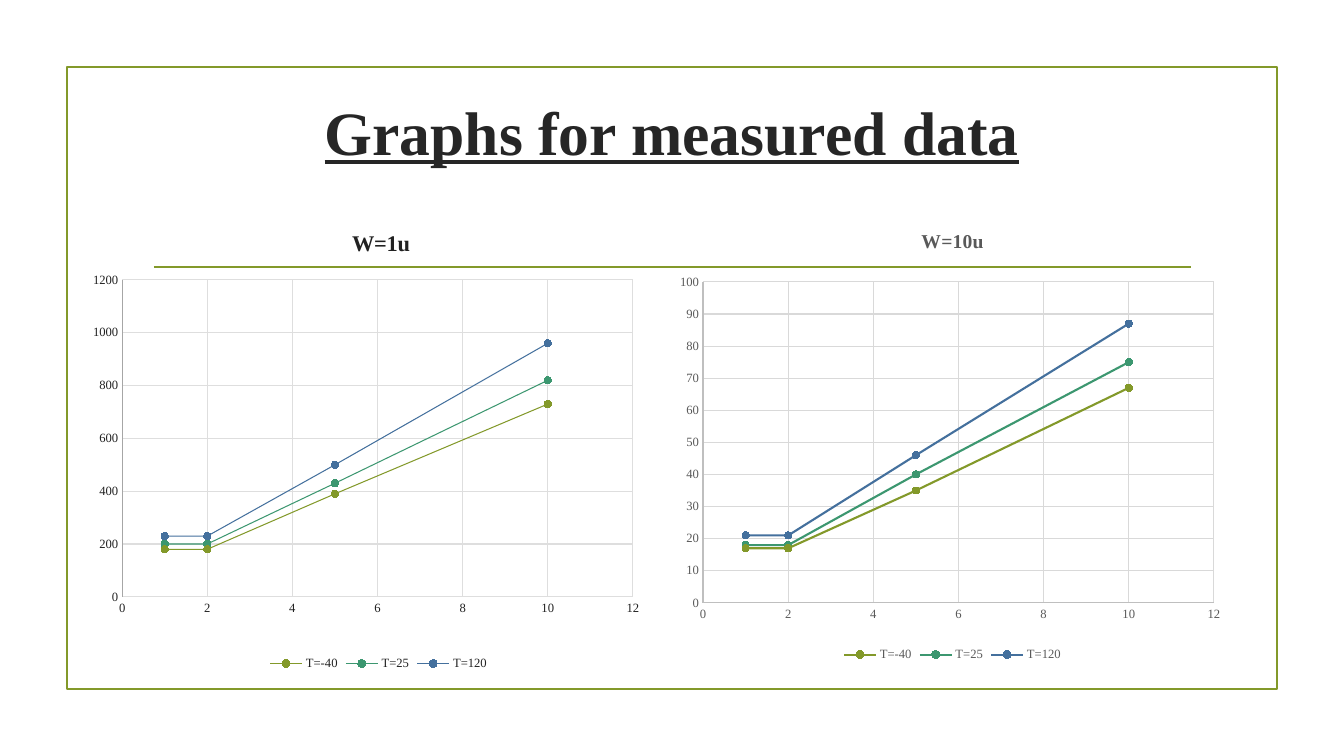
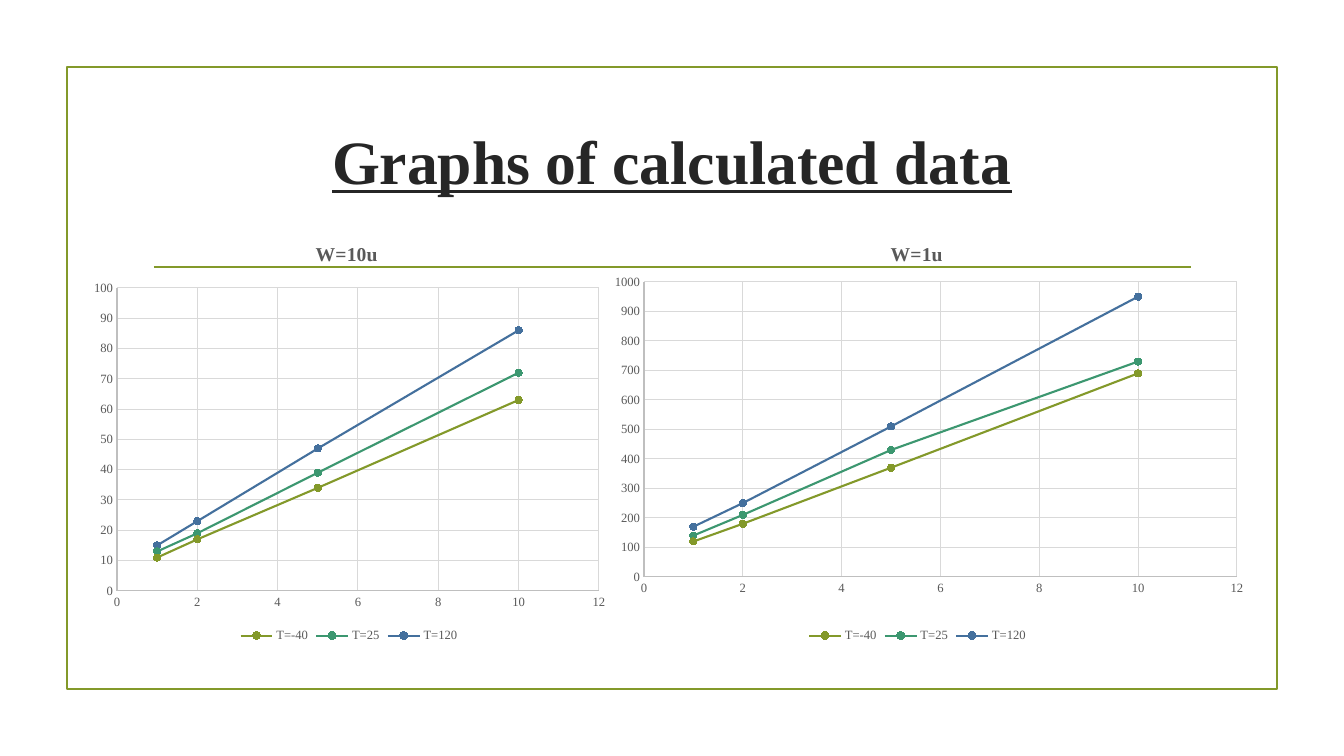
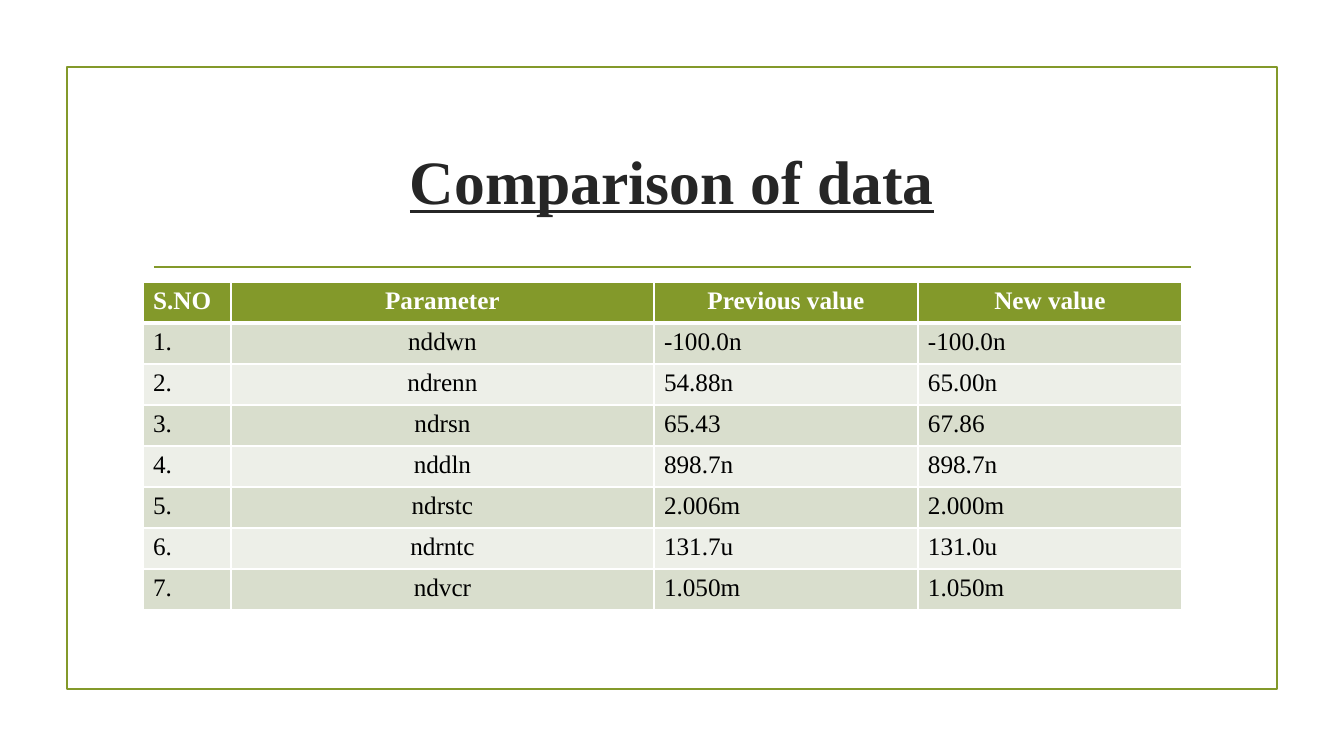
from pptx import Presentation
from pptx.chart.data import XyChartData
from pptx.dml.color import RGBColor
from pptx.enum.chart import XL_CHART_TYPE, XL_LEGEND_POSITION, XL_MARKER_STYLE, XL_TICK_MARK
from pptx.enum.shapes import MSO_CONNECTOR, MSO_SHAPE
from pptx.enum.text import MSO_ANCHOR, PP_ALIGN
from pptx.oxml import parse_xml
from pptx.oxml.ns import nsdecls
from pptx.util import Emu, Pt

FONT = "Times New Roman"
OLIVE = RGBColor(0x83, 0x99, 0x2A)
GREEN = RGBColor(0x3C, 0x97, 0x70)
BLUE = RGBColor(0x44, 0x70, 0x9D)
BRIGHT_OLIVE = RGBColor(0x86, 0x9F, 0x24)
BRIGHT_GREEN = RGBColor(0x37, 0x9C, 0x71)
BRIGHT_BLUE = RGBColor(0x40, 0x70, 0xA1)
WHITE = RGBColor(0xFF, 0xFF, 0xFF)
BLACK = RGBColor(0x00, 0x00, 0x00)
INK = RGBColor(0x26, 0x26, 0x26)
DARK = RGBColor(0x21, 0x21, 0x21)
GREY = RGBColor(0x59, 0x59, 0x59)
AXIS_GREY = RGBColor(0xBF, 0xBF, 0xBF)
VALUE_GREY = RGBColor(0xA6, 0xA6, 0xA6)
GRID_GREY = RGBColor(0xD9, 0xD9, 0xD9)
PALE_GREY = RGBColor(0xDE, 0xDE, 0xDE)
BAND_DARK = RGBColor(0xD9, 0xDE, 0xCD)
BAND_LIGHT = RGBColor(0xED, 0xEF, 0xE8)

TEMPERATURES = ("T=-40", "T=25", "T=120")
LENGTHS = (10, 5, 2, 1)
SERIES_COLORS = (OLIVE, GREEN, BLUE)
THIN = {"text": DARK, "x_line": PALE_GREY, "y_line": VALUE_GREY, "grid": PALE_GREY,
        "width": 0.75, "title_size": 16,
        "markers": (BRIGHT_OLIVE, BRIGHT_GREEN, BRIGHT_BLUE)}
BOLD = {"text": GREY, "x_line": AXIS_GREY, "y_line": AXIS_GREY, "grid": GRID_GREY,
        "width": 1.5, "title_size": 14, "markers": SERIES_COLORS}

MEASURED = (
    {"title": "W=1u", "box": (93, 211, 571, 464), "plot": (122, 280, 511, 317),
     "title_at": (348, 225), "top": 1200, "step": 200, "style": THIN,
     "values": ((730, 390, 180, 180), (820, 430, 200, 200), (960, 500, 230, 230))},
    {"title": "W=10u", "box": (672, 211, 561, 455), "plot": (703, 282, 511, 321),
     "title_at": (918, 225), "top": 100, "step": 10, "style": BOLD,
     "values": ((67, 35, 17, 17), (75, 40, 18, 18), (87, 46, 21, 21))},
)
CALCULATED = (
    {"title": "W=10u", "box": (83, 224, 532, 423), "plot": (117, 288, 482, 303),
     "title_at": (312, 238), "top": 100, "step": 10, "style": BOLD,
     "values": ((63, 34, 17, 11), (72, 39, 19, 13), (86, 47, 23, 15))},
    {"title": "W=1u", "box": (574, 224, 687, 423), "plot": (644, 282, 593, 295),
     "title_at": (887, 238), "top": 1000, "step": 100, "style": BOLD,
     "values": ((690, 370, 180, 120), (730, 430, 210, 140), (950, 510, 250, 170))},
)
COMPARISON = (
    ("S.NO", "Parameter", "Previous value", "New value"),
    ("1.", "nddwn", "-100.0n", "-100.0n"),
    ("2.", "ndrenn", "54.88n", "65.00n"),
    ("3.", "ndrsn", "65.43", "67.86"),
    ("4.", "nddln", "898.7n", "898.7n"),
    ("5.", "ndrstc", "2.006m", "2.000m"),
    ("6.", "ndrntc", "131.7u", "131.0u"),
    ("7.", "ndvcr", "1.050m", "1.050m"),
)
COLUMN_WIDTHS = (88, 423, 264, 264)
ROW_HEIGHT = 41


def px(length):
    """Turn pixels into EMU."""
    return Emu(round(length * 914400 / 100.8))


def style_font(font, size, color, **formats):
    """Set size, colour and any further formats of a font."""
    font.color.rgb = color
    for key, value in {"name": FONT, "size": Pt(size), **formats}.items():
        setattr(font, key, value)


def style_line(line, color, width):
    """Set the colour and width of a line."""
    line.color.rgb = color
    line.width = Pt(width)


def add_frame(slide, layout):
    """Draw the border and rule, and move them to the shared layout."""
    border = slide.shapes.add_shape(MSO_SHAPE.RECTANGLE, px(67), px(67), px(1210), px(622))
    border.shadow.inherit = False
    border.fill.background()
    rule = slide.shapes.add_connector(MSO_CONNECTOR.STRAIGHT, px(154), px(267), px(1191), px(267))
    rule.element.spPr.append(parse_xml(f"<a:effectLst {nsdecls('a')}/>"))
    for part in (border, rule):
        style_line(part.line, OLIVE, 1.25)
        layout.element.cSld.spTree.append(part.element)


def add_titled_slide(deck, layout, text, top, height):
    """Add a slide with a centred, underlined title."""
    slide = deck.slides.add_slide(layout)
    title = slide.shapes.title
    title.left, title.top, title.width, title.height = map(px, (143, top, 1058, height))
    title.text_frame.text = text
    title.text_frame.vertical_anchor = MSO_ANCHOR.MIDDLE
    heading = title.text_frame.paragraphs[0]
    heading.alignment = PP_ALIGN.CENTER
    style_font(heading.runs[0].font, 44, INK, bold=True, underline=True)
    return slide


def place_inside(part, index, box, area, target=""):
    """Give a chart part a fixed place within the chart box."""
    for old in part.xpath("c:layout"):
        part.remove(old)
    left, top, width, height = box
    places = {"x": (area[0] - left) / width, "y": (area[1] - top) / height}
    if len(area) == 4:
        places.update(w=area[2] / width, h=area[3] / height)
    modes = "".join(f'<c:{key}Mode val="edge"/>' for key in "xy")
    values = "".join(f'<c:{key} val="{value:.4f}"/>' for key, value in places.items())
    part.insert(index, parse_xml(
        f"<c:layout {nsdecls('c')}><c:manualLayout>{target}{modes}{values}"
        "</c:manualLayout></c:layout>"))


def style_axis(axis, top, step, line_color, style):
    """Set the scale, grid and labels of an axis."""
    scale = {"minimum_scale": 0, "maximum_scale": top, "major_unit": step,
             "major_tick_mark": XL_TICK_MARK.NONE, "minor_tick_mark": XL_TICK_MARK.NONE,
             "has_major_gridlines": True}
    for key, value in scale.items():
        setattr(axis, key, value)
    style_line(axis.format.line, line_color, 0.75)
    style_line(axis.major_gridlines.format.line, style["grid"], 0.75)
    style_font(axis.tick_labels.font, 9, style["text"])


def style_series(series, color, marker_color, width):
    """Set the line and round markers of a series."""
    series.smooth = False
    style_line(series.format.line, color, width)
    marker = series.marker
    marker.style = XL_MARKER_STYLE.CIRCLE
    marker.size = 5
    marker.format.fill.solid()
    marker.format.fill.fore_color.rgb = marker_color
    style_line(marker.format.line, color, 0.75)


def add_scatter(slide, graph):
    """Add a scatter chart of one width at three temperatures."""
    data = XyChartData()
    for name, values in zip(TEMPERATURES, graph["values"]):
        series = data.add_series(name)
        for length, value in zip(LENGTHS, values):
            series.add_data_point(length, value)
    box, style = graph["box"], graph["style"]
    chart = slide.shapes.add_chart(XL_CHART_TYPE.XY_SCATTER_LINES, *map(px, box), data).chart
    style_font(chart.font, 10, BLACK)
    chart.plots[0].vary_by_categories = False
    for series, color, marker_color in zip(chart.plots[0].series, SERIES_COLORS, style["markers"]):
        style_series(series, color, marker_color, style["width"])
    style_axis(chart.category_axis, 12, 2, style["x_line"], style)
    style_axis(chart.value_axis, graph["top"], graph["step"], style["y_line"], style)

    chart.has_legend = True
    chart.legend.position = XL_LEGEND_POSITION.BOTTOM
    chart.legend.include_in_layout = False
    style_font(chart.legend.font, 9, style["text"])

    chart.has_title = True
    caption = chart.chart_title.text_frame
    caption.text = graph["title"]
    style_font(caption.paragraphs[0].runs[0].font, style["title_size"], style["text"], bold=True)

    root = chart.element
    place_inside(root.xpath("c:chart/c:title")[0], 1, box, graph["title_at"])
    plot_area = root.xpath("c:chart/c:plotArea")[0]
    place_inside(plot_area, 0, box, graph["plot"], '<c:layoutTarget val="inner"/>')
    clear = f"<c:spPr {nsdecls('c', 'a')}><a:noFill/><a:ln><a:noFill/></a:ln></c:spPr>"
    plot_area.append(parse_xml(clear))
    root.xpath("c:chart")[0].addnext(parse_xml(clear))


def set_borders(cell, bottom):
    """Give a cell white borders, with its own bottom width."""
    properties = cell._tc.get_or_add_tcPr()
    for index, (side, width) in enumerate({"L": 1, "R": 1, "T": 1, "B": bottom}.items()):
        properties.insert(index, parse_xml(
            f'<a:ln{side} {nsdecls("a")} w="{Pt(width)}"><a:solidFill>'
            f'<a:srgbClr val="{WHITE}"/></a:solidFill></a:ln{side}>'))


def fill_cell(cell, text, row, column):
    """Write and format one cell by its row and column."""
    header = row == 0
    cell.fill.solid()
    cell.fill.fore_color.rgb = OLIVE if header else (BAND_LIGHT, BAND_DARK)[row % 2]
    cell.text = text
    entry = cell.text_frame.paragraphs[0]
    centred = column == 1 or header and column > 0
    entry.alignment = PP_ALIGN.CENTER if centred else PP_ALIGN.LEFT
    style_font(entry.runs[0].font, 18, WHITE if header else BLACK, bold=header)
    set_borders(cell, 3 if header else 1)


def add_comparison(slide):
    """Add the table of previous and new values."""
    rows = len(COMPARISON)
    table = slide.shapes.add_table(rows, len(COLUMN_WIDTHS), px(143), px(282),
                                   px(sum(COLUMN_WIDTHS)), px(rows * ROW_HEIGHT)).table
    for column, width in zip(table.columns, COLUMN_WIDTHS):
        column.width = px(width)
    for row, texts in enumerate(COMPARISON):
        table.rows[row].height = px(ROW_HEIGHT)
        for column, text in enumerate(texts):
            fill_cell(table.cell(row, column), text, row, column)


def main():
    """Build and save the three slides."""
    deck = Presentation()
    deck.slide_width, deck.slide_height = px(1344), px(756)
    layout = deck.slide_layouts[5]
    measured = add_titled_slide(deck, layout, "Graphs for measured data", 81, 99)
    add_frame(measured, layout)
    calculated = add_titled_slide(deck, layout, "Graphs of calculated data", 108, 104)
    for slide, graphs in ((measured, MEASURED), (calculated, CALCULATED)):
        for graph in graphs:
            add_scatter(slide, graph)
    add_comparison(add_titled_slide(deck, layout, "Comparison of data", 108, 144))
    deck.save("out.pptx")


if __name__ == "__main__":
    main()
